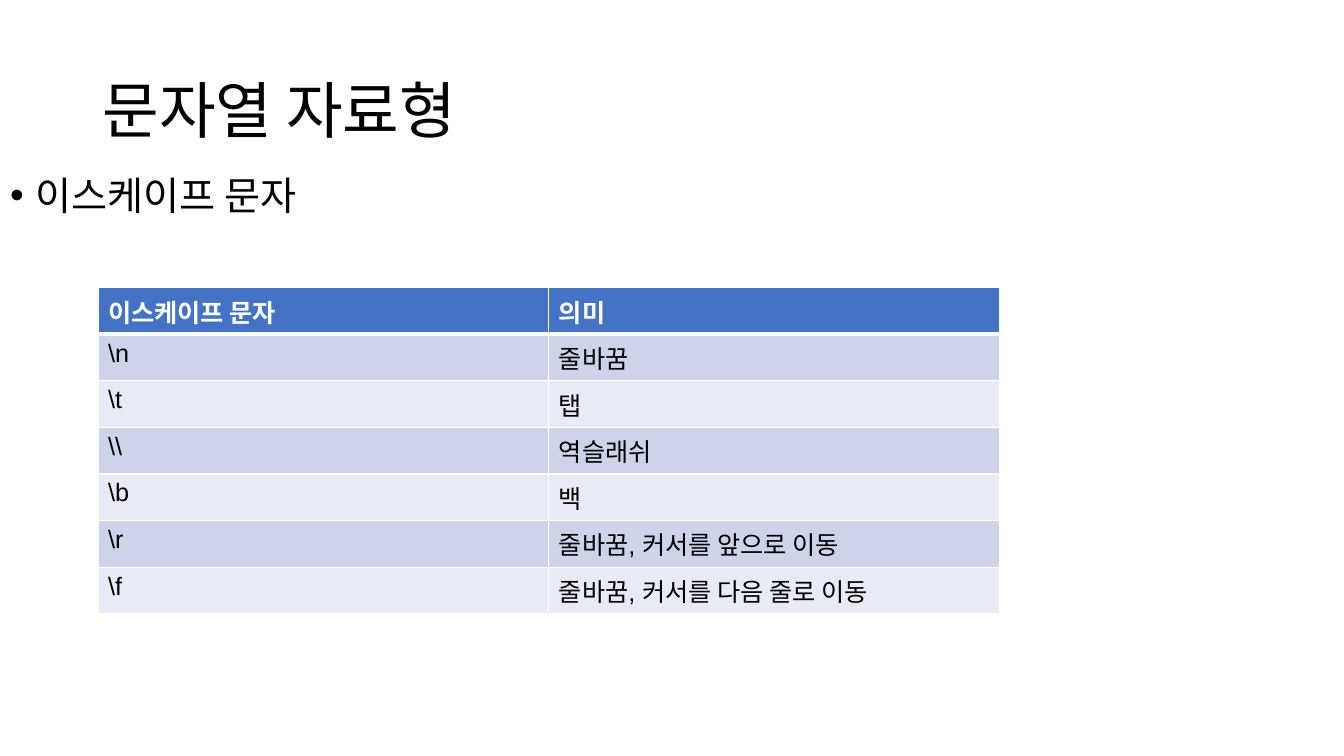
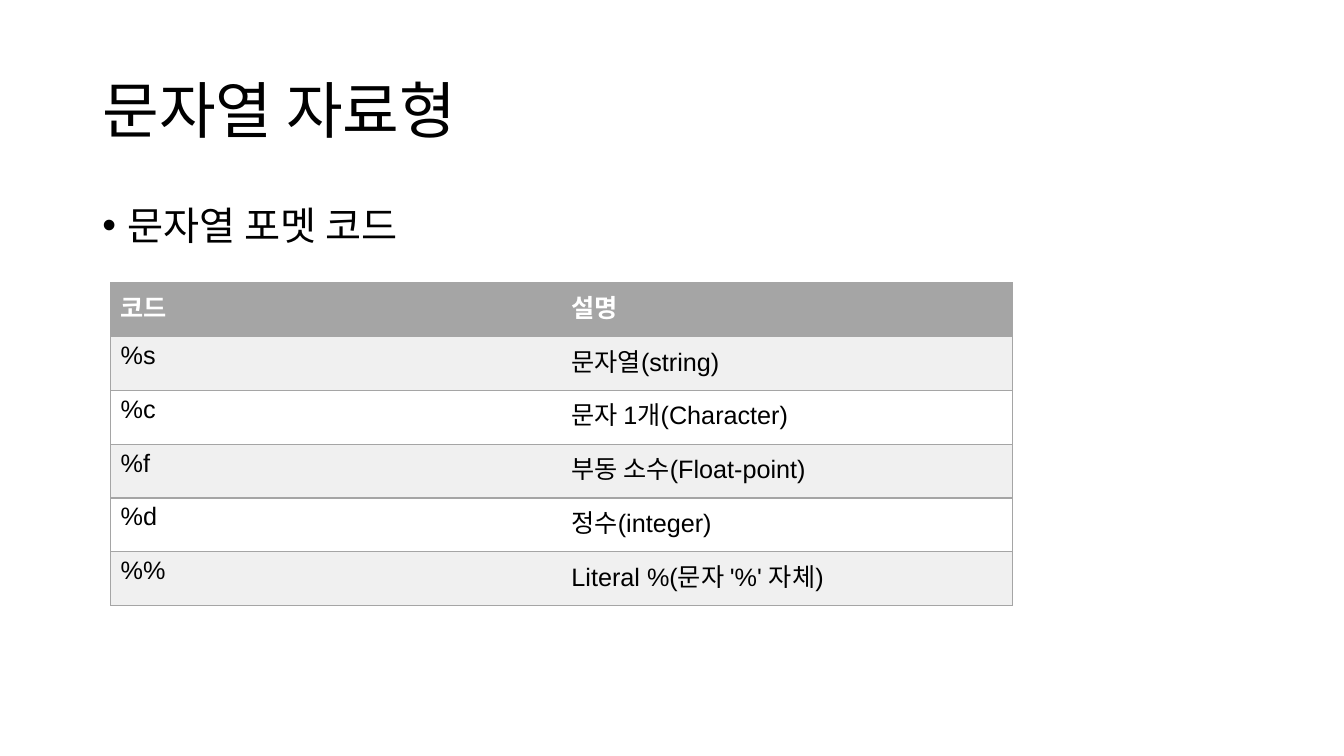
from pptx import Presentation
from pptx.dml.color import RGBColor
from pptx.enum.text import MSO_ANCHOR, MSO_AUTO_SIZE, PP_ALIGN
from pptx.oxml.ns import qn
from pptx.util import Pt
from lxml.etree import SubElement

# Shared style
SANS, KOREAN = "Arial", "Noto Sans CJK KR"
BLACK, WHITE, GREY = "000000", "FFFFFF", "A5A5A5"
WIDE, COL = 828, 322
TITLE = "문자열 자료형"
TITLE_BOX = (66, 28.75, WIDE, 104.4)

# Content
SLIDES = [
    dict(
        point="이스케이프 문자",
        box=(0, 122.4, WIDE, 342.7),
        spot=(70, 205.5),
        rows=[
            ("이스케이프 문자", "의미"),
            (r"\n", "줄바꿈"),
            (r"\t", "탭"),
            (r"\\", "역슬래쉬"),
            (r"\b", "백"),
            (r"\r", "줄바꿈, 커서를 앞으로 이동"),
            (r"\f", "줄바꿈, 커서를 다음 줄로 이동"),
        ],
        tall=(32, 33.3),
        fills=("4472C4", "CDD4EA", "E8EBF5"),
        edge=WHITE, inner=True, rule=3,
    ),
    dict(
        point="문자열 포멧 코드",
        box=(66, 143.75, WIDE, 342.7),
        spot=(79, 202.2),
        rows=[
            ("코드", "설명"),
            ("%s", "문자열(string)"),
            ("%c", "문자 1개(Character)"),
            ("%f", "부동 소수(Float-point)"),
            ("%d", "정수(integer)"),
            ("%%", "Literal %(문자 '%' 자체)"),
        ],
        tall=(38.4, 38.4),
        fills=(GREY, "F0F0F0", WHITE),
        edge=GREY, inner=False, rule=1,
    ),
]


def paint(code):
    return RGBColor.from_string(code)


def write(frame, text, size=18, color=BLACK, bold=False, font=SANS, line=None):
    par = frame.paragraphs[0]
    par.alignment = PP_ALIGN.LEFT
    par.space_before = Pt(0)
    if line:
        par.line_spacing = line
    run = par.add_run()
    run.text = text
    run.font.size, run.font.bold, run.font.name = Pt(size), bold, font
    run.font.color.rgb = paint(color)
    SubElement(run.font._element, qn("a:ea"), typeface=KOREAN)
    return par


def place(shape, box):
    shape.left, shape.top, shape.width, shape.height = map(Pt, box)
    shape.text_frame.auto_size = MSO_AUTO_SIZE.NONE
    return shape.text_frame


def border(cell, side, color, width):
    props = cell._tc.get_or_add_tcPr()
    line = SubElement(props, qn("a:ln" + side), w=str(Pt(width)))
    if width:
        fill = SubElement(line, qn("a:solidFill"))
        SubElement(fill, qn("a:srgbClr"), val=color)
    else:
        SubElement(line, qn("a:noFill"))


def grid(slide, spot, rows, tall, fills, edge, inner, rule):
    head, body = tall
    high = head + body * (len(rows) - 1)
    count = len(rows[0])
    box = map(Pt, (*spot, COL * count, high))
    table = slide.shapes.add_table(len(rows), count, *box).table
    table.horz_banding = False
    for i, row in enumerate(rows):
        top = i == 0
        table.rows[i].height = Pt(head if top else body)
        for j, text in enumerate(row):
            cell = table.cell(i, j)
            # Borders come before the fill in the cell's XML
            border(cell, "L", edge, int(inner or j == 0))
            border(cell, "R", edge, int(inner or j == count - 1))
            border(cell, "T", edge, rule if i == 1 else 1)
            border(cell, "B", edge, rule if top else 1)
            cell.fill.solid()
            cell.fill.fore_color.rgb = paint(fills[0 if top else 2 - i % 2])
            write(cell.text_frame, text, bold=top,
                  color=WHITE if top else BLACK)


def build(deck, point, box, **table):
    slide = deck.slides.add_slide(deck.slide_layouts[1])
    # Title
    frame = place(slide.shapes.title, TITLE_BOX)
    frame.vertical_anchor = MSO_ANCHOR.MIDDLE
    write(frame, TITLE, size=44, font=KOREAN, line=0.9)
    # Bullet list
    frame = place(slide.placeholders[1], box)
    par = write(frame, point, size=28, font=KOREAN, line=0.9)
    props = par._p.get_or_add_pPr()
    props.set("marL", str(Pt(18)))
    props.set("indent", str(Pt(-18)))
    SubElement(props, qn("a:buChar"), char="•")
    # Table
    grid(slide, **table)


def main():
    deck = Presentation()
    deck.slide_width, deck.slide_height = Pt(960), Pt(540)
    for item in SLIDES:
        build(deck, **item)
    deck.save("out.pptx")


if __name__ == "__main__":
    main()
